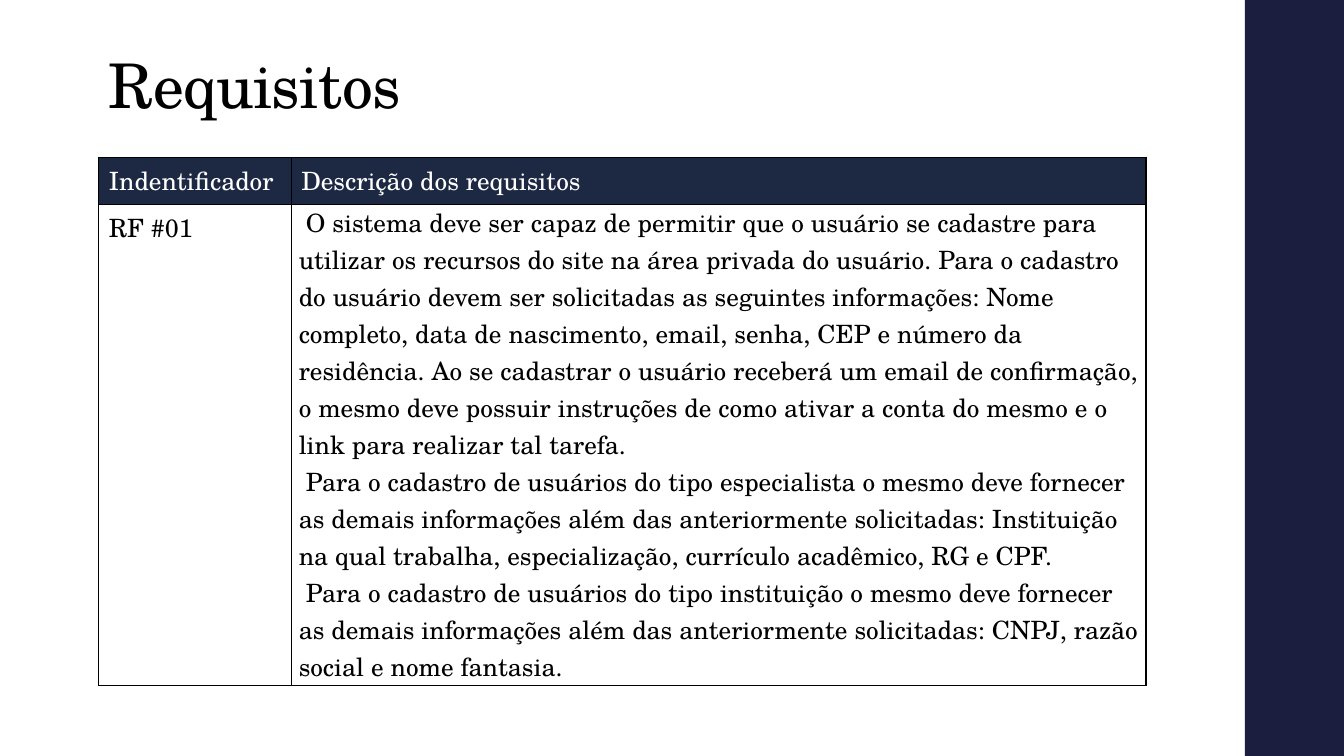
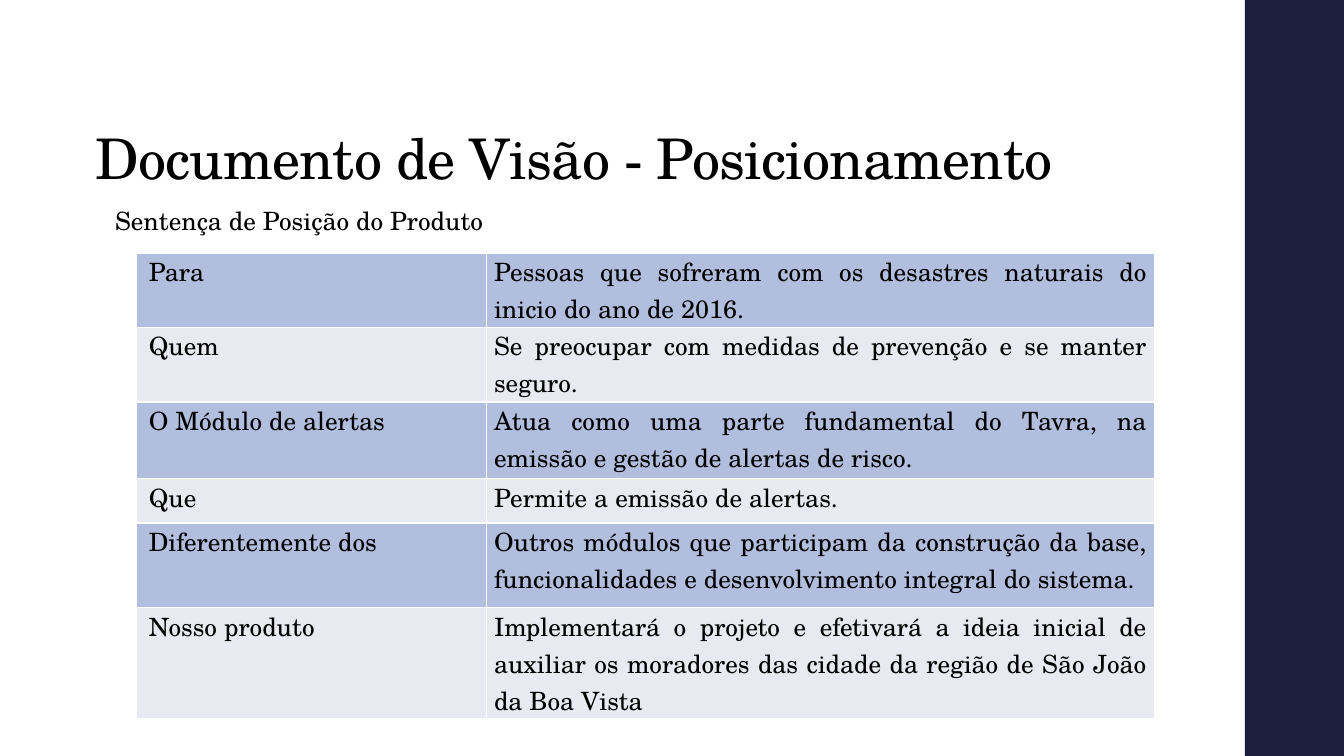
from lxml import etree
from pptx import Presentation
from pptx import util as u
from pptx.dml.color import RGBColor
from pptx.enum import shapes, text
from pptx.oxml.ns import qn

# Content
REQUIREMENTS_TITLE = "Requisitos"
REQUIREMENTS_ROWS = [
    ("Indentificador", "Descrição dos requisitos"),
    ("RF #01", "\n".join([
        "O sistema deve ser capaz de permitir que o usuário se cadastre para utilizar os recursos "
        "do site na área privada do usuário. Para o cadastro do usuário devem ser solicitadas as "
        "seguintes informações: Nome completo, data de nascimento, email, senha, CEP e número da "
        "residência. Ao se cadastrar o usuário receberá um email de confirmação, o mesmo deve "
        "possuir instruções de como ativar a conta do mesmo e o link para realizar tal tarefa.",
        "Para o cadastro de usuários do tipo especialista o mesmo deve fornecer as demais "
        "informações além das anteriormente solicitadas: Instituição na qual trabalha, "
        "especialização, currículo acadêmico, RG e CPF.",
        "Para o cadastro de usuários do tipo instituição o mesmo deve fornecer as demais "
        "informações além das anteriormente solicitadas: CNPJ, razão social e nome fantasia.",
    ])),
]
POSITION_TITLE = "Documento de Visão - Posicionamento"
POSITION_SUBTITLE = "Sentença de Posição do Produto"
POSITION_ROWS = [
    ("Para", "Pessoas que sofreram com os desastres naturais do inicio do ano de 2016."),
    ("Quem", "Se preocupar com medidas de prevenção e se manter seguro."),
    ("O Módulo de alertas", "Atua como uma parte fundamental do Tavra, na emissão e gestão de "
                            "alertas de risco."),
    ("Que", "Permite a emissão de alertas."),
    ("Diferentemente dos", "Outros módulos que participam da construção da base, "
                           "funcionalidades e desenvolvimento integral do sistema."),
    ("Nosso produto", "Implementará o projeto e efetivará a ideia inicial de auxiliar os "
                      "moradores das cidade da região de São João da Boa Vista"),
]

# Shared style
COLOURS = {"band": "1B1E3E", "header": "1D2843", "text": "000000", "white": "FFFFFF",
           "blue_row": "B1BEDD", "grey_row": "E9EAF1"}
FONT = "TeX Gyre Schola"
BODY_SIZE = 18
SLIDE_WIDTH, SLIDE_HEIGHT = u.Cm(33.87), u.Cm(19.05)
BAND_LEFT = u.Cm(31.37)
NARROW_MARGIN = u.Cm(0.19)


def colour(name):
    return RGBColor.from_string(COLOURS[name])


def format_text(frame, size=BODY_SIZE, ink="text"):
    for paragraph in frame.paragraphs:
        for run in paragraph.runs:
            run.font.name, run.font.size, run.font.bold = FONT, u.Pt(size), False
            run.font.color.rgb = colour(ink)


def indent(frame, left=0, first_line=0):
    for paragraph in frame.paragraphs:
        properties = paragraph._p.get_or_add_pPr()
        properties.set("marL", str(left))
        properties.set("indent", str(first_line))


def narrow_margins(cell):
    cell.margin_left = cell.margin_right = NARROW_MARGIN
    cell.margin_top = cell.margin_bottom = 0


def add_text(slide, wording, box, size=BODY_SIZE):
    frame = slide.shapes.add_textbox(*map(u.Cm, box)).text_frame
    frame.word_wrap = True
    frame.text = wording
    format_text(frame, size)
    return frame


def add_slide(presentation, title, title_box, title_size):
    slide = presentation.slides.add_slide(presentation.slide_layouts[6])
    band = slide.shapes.add_shape(shapes.MSO_SHAPE.RECTANGLE, BAND_LEFT, 0,
                                  SLIDE_WIDTH - BAND_LEFT, SLIDE_HEIGHT)
    band.shadow.inherit = False
    band.fill.solid()
    band.fill.fore_color.rgb = colour("band")
    band.line.fill.background()

    frame = add_text(slide, title, title_box, title_size)
    frame.vertical_anchor = text.MSO_ANCHOR.BOTTOM
    paragraph = frame.paragraphs[0]
    paragraph.line_spacing = 0.9
    paragraph.runs[0]._r.get_or_add_rPr().set("spc", "-50")
    return slide


def set_borders(cell, name):
    properties = cell._tc.get_or_add_tcPr()
    for side in ("lnL", "lnR", "lnT", "lnB"):
        line = etree.SubElement(properties, qn(f"a:{side}"), w=str(u.Pt(1)))
        fill = etree.SubElement(line, qn("a:solidFill"))
        etree.SubElement(fill, qn("a:srgbClr"), val=COLOURS[name])


def add_table(slide, rows, left, top, widths, heights, fills, border):
    frame = slide.shapes.add_table(len(rows), len(widths), u.Cm(left), u.Cm(top),
                                   u.Cm(sum(widths)), u.Cm(sum(heights)))
    table = frame.table
    table.horz_banding = False
    for column, width in zip(table.columns, widths):
        column.width = u.Cm(width)
    for row, height, wordings, fill in zip(table.rows, heights, rows, fills):
        row.height = u.Cm(height)
        for cell, wording in zip(row.cells, wordings):
            set_borders(cell, border)
            cell.fill.solid()
            cell.fill.fore_color.rgb = colour(fill)
            cell.text_frame.text = wording
            format_text(cell.text_frame, ink="white" if fill == "header" else "text")
    return table


def build_requirements(presentation):
    slide = add_slide(presentation, REQUIREMENTS_TITLE, (2.49, 1.02, 26.92, 2.18), 44)
    table = add_table(slide, REQUIREMENTS_ROWS, 2.49, 3.96, (4.85, 21.54), (1.19, 12.13),
                      ("header", "white"), "text")
    description = table.cell(1, 1)
    narrow_margins(description)
    indent(description.text_frame, first_line=u.Cm(0.18))


def build_position(presentation):
    slide = add_slide(presentation, POSITION_TITLE, (2.16, 1.27, 26.92, 3.68), 40)
    fills = ("blue_row", "grey_row") * (len(POSITION_ROWS) // 2)
    table = add_table(slide, POSITION_ROWS, 3.44, 6.38, (8.82, 16.83),
                      (1.87, 1.88, 1.93, 1.12, 2.13, 2.8), fills, "white")
    table.first_row = False
    for cell in table.iter_cells():
        narrow_margins(cell)
        cell.text_frame.paragraphs[0].alignment = text.PP_ALIGN.JUSTIFY
    for row in table.rows:
        indent(row.cells[0].text_frame, left=u.Cm(0.12))

    # Subtitle above the table
    frame = add_text(slide, POSITION_SUBTITLE, (2.9, 5.18, 10.8, 0.93))
    frame.margin_left = frame.margin_right = frame.margin_top = frame.margin_bottom = 0


def main():
    presentation = Presentation()
    presentation.slide_width, presentation.slide_height = SLIDE_WIDTH, SLIDE_HEIGHT
    build_requirements(presentation)
    build_position(presentation)
    presentation.save("out.pptx")


if __name__ == "__main__":
    main()
